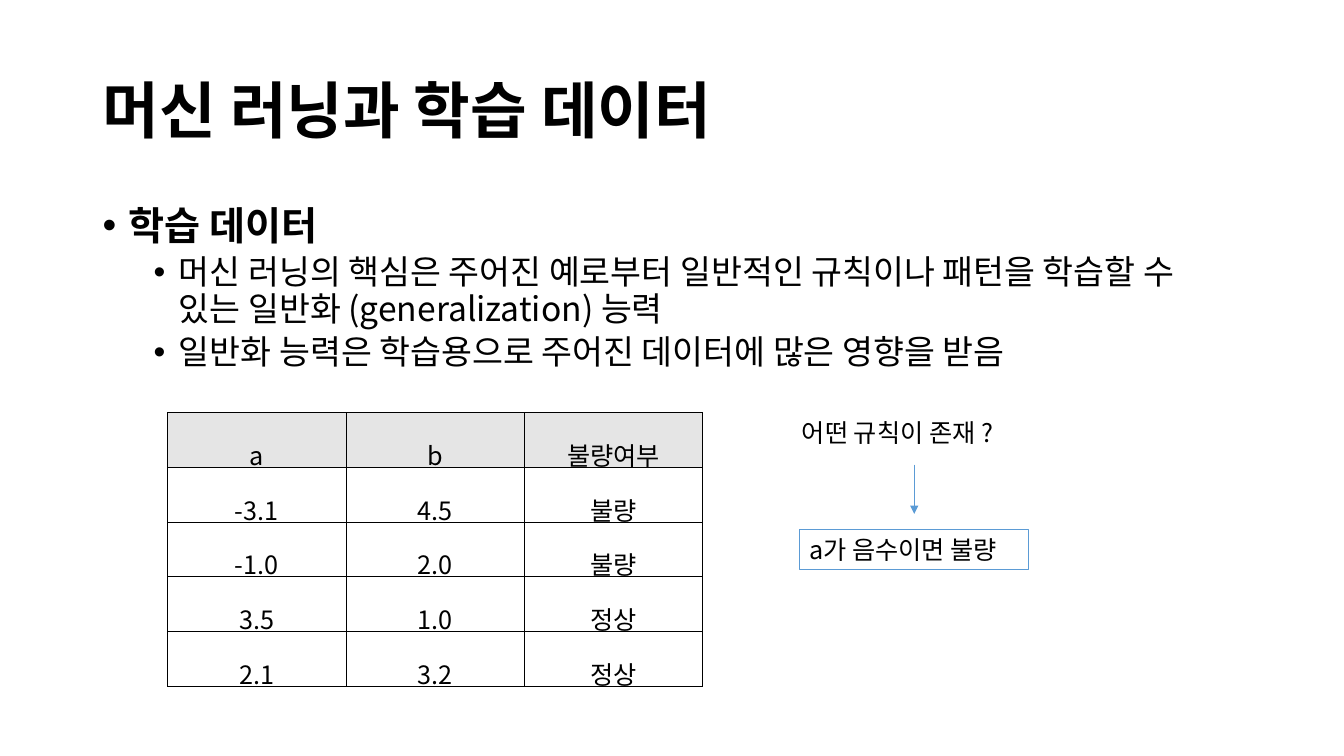
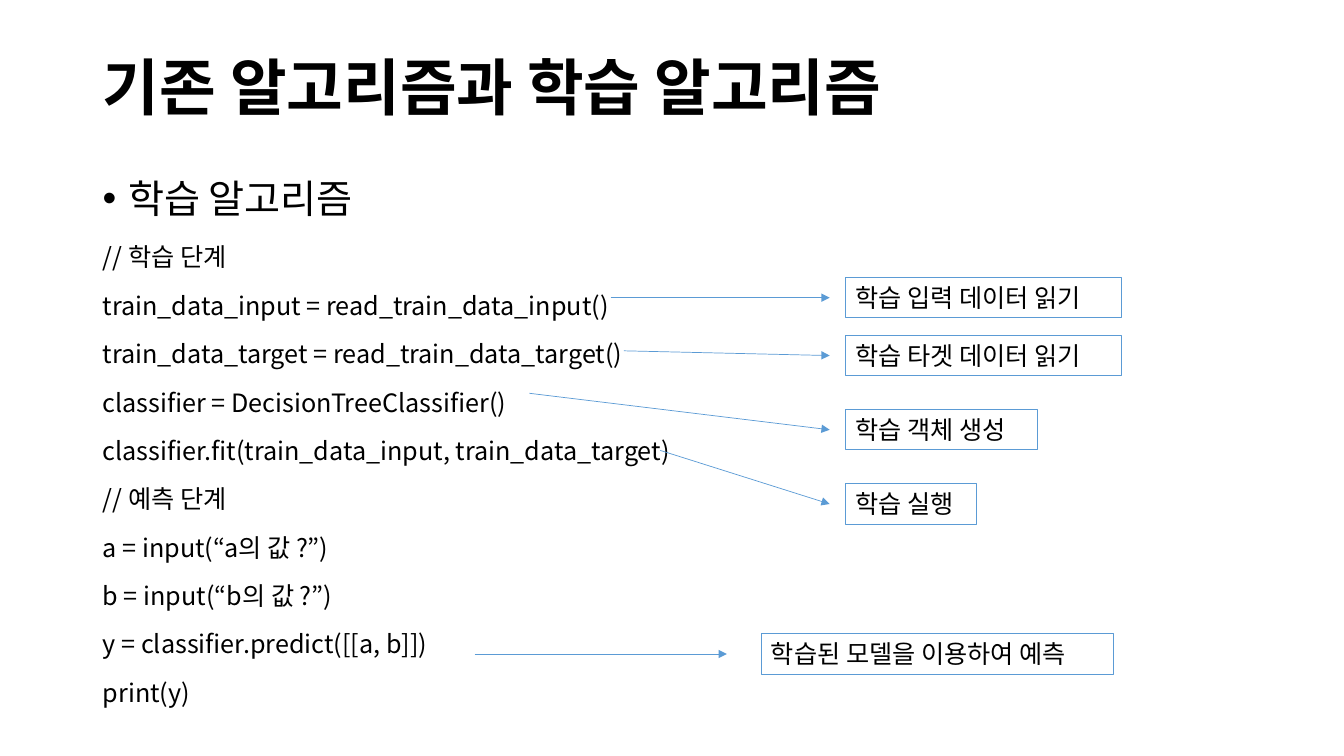
from lxml import etree
from pptx import Presentation
from pptx.dml.color import RGBColor
from pptx.enum import shapes, text
from pptx.oxml import ns
from pptx.util import Cm, Pt

FONT = "Noto Sans CJK KR"
HUES = {"ink": "000000", "head": "E5E5E5", "blue": "5B9BD5"}
LEFT, WIDE = 2.34, 29.21
BOX_H = 1.02
BULLET = 0.64


def hue(name):
    return RGBColor.from_string(HUES[name])


def sub(node, tag, **attrs):
    return etree.SubElement(node, ns.qn(tag), attrs)


def put(frame, lines, size=18, bold=False, align=None, gap=None, above=0,
        anchor=None, level=None):
    """Fill a text frame with lines; a level gives them bullets."""
    frame.word_wrap = True
    if anchor is not None:
        frame.vertical_anchor = anchor
    for i, line in enumerate(lines):
        para = frame.paragraphs[0]
        if i or para.runs:
            para = frame.add_paragraph()
        para.alignment, para.line_spacing = align, gap
        para.space_before = Pt(above)
        run = para.add_run()
        run.text = line
        font = run.font
        font.name, font.size, font.bold = FONT, Pt(size), bold
        font.color.rgb = hue("ink")
        sub(font._element, "a:ea", typeface=FONT)
        if level is not None:
            props = para._p.get_or_add_pPr()
            props.set("marL", str(Cm(BULLET * (1 + 2 * level))))
            props.set("indent", str(Cm(-BULLET)))
            sub(props, "a:buFont", typeface="Arial")
            sub(props, "a:buChar", char="•")


def area(slide, x, y, w, h):
    return slide.shapes.add_textbox(Cm(x), Cm(y), Cm(w), Cm(h)).text_frame


def title(slide, line, y):
    put(area(slide, LEFT, y, WIDE, 3.68), [line], size=44, bold=True,
        gap=0.9, anchor=text.MSO_ANCHOR.MIDDLE)


def topic(slide, line, y, h, bold=False, points=()):
    frame = area(slide, LEFT, y, WIDE, h)
    put(frame, [line], size=28, bold=bold, gap=0.9, above=10, level=0)
    put(frame, points, size=24, gap=0.9, above=5, level=1)


def label(slide, line, x, y, w):
    box = slide.shapes.add_shape(shapes.MSO_SHAPE.RECTANGLE,
                                 Cm(x), Cm(y), Cm(w), Cm(BOX_H))
    box.shadow.inherit = False
    box.fill.background()
    box.line.color.rgb, box.line.width = hue("blue"), Pt(0.75)
    put(box.text_frame, [line], align=text.PP_ALIGN.LEFT,
        anchor=text.MSO_ANCHOR.TOP)


def arrow(slide, x1, y1, x2, y2):
    link = slide.shapes.add_connector(shapes.MSO_CONNECTOR.STRAIGHT,
                                      Cm(x1), Cm(y1), Cm(x2), Cm(y2))
    link.line.color.rgb, link.line.width = hue("blue"), Pt(0.5)
    sub(link.line._get_or_add_ln(), "a:tailEnd", type="triangle")
    sub(link._element.spPr, "a:effectLst")


def edge(cell):
    """Draw thin lines on all four sides, ahead of the cell's fill."""
    props = cell._tc.get_or_add_tcPr()
    for i, side in enumerate("LRTB"):
        line = etree.Element(ns.qn("a:ln" + side), w=str(Pt(0.28)))
        sub(sub(line, "a:solidFill"), "a:srgbClr", val=HUES["ink"])
        props.insert(i, line)


def table(slide, rows, x, y, w, h):
    shape = slide.shapes.add_table(len(rows), len(rows[0]),
                                   Cm(x), Cm(y), Cm(w), Cm(h))
    grid = shape.table
    grid.first_row = grid.horz_banding = False
    for r, row in enumerate(rows):
        for c, value in enumerate(row):
            cell = grid.cell(r, c)
            cell.margin_left = cell.margin_right = Cm(0.18)
            cell.margin_top = cell.margin_bottom = Cm(0.05)
            cell.vertical_anchor = text.MSO_ANCHOR.MIDDLE
            if r == 0:
                cell.fill.solid()
                cell.fill.fore_color.rgb = hue("head")
            else:
                cell.fill.background()
            edge(cell)
            put(cell.text_frame, [value], gap=1.6,
                align=text.PP_ALIGN.CENTER)


def data(slide):
    title(slide, "머신 러닝과 학습 데이터", 1.02)
    topic(slide, "학습 데이터", 5.08, 4.95, bold=True, points=[
        "머신 러닝의 핵심은 주어진 예로부터 일반적인 규칙이나 패턴을 "
        "학습할 수 있는 일반화 (generalization) 능력",
        "일반화 능력은 학습용으로 주어진 데이터에 많은 영향을 받음"])
    table(slide, [("a", "b", "불량여부"),
                  ("-3.1", "4.5", "불량"),
                  ("-1.0", "2.0", "불량"),
                  ("3.5", "1.0", "정상"),
                  ("2.1", "3.2", "정상")], 4.22, 10.39, 13.49, 6.9)
    put(area(slide, 19.96, 10.39, 5.97, BOX_H), ["어떤 규칙이 존재 ?"])
    label(slide, "a가 음수이면 불량", 20.14, 13.34, 5.79)
    arrow(slide, 23.04, 11.71, 23.04, 12.95)


def code(slide):
    title(slide, "기존 알고리즘과 학습 알고리즘", 0.43)
    topic(slide, "학습 알고리즘", 4.39, 1.45)
    put(area(slide, LEFT, 5.51, 16.59, 12.57), [
        "// 학습 단계",
        "train_data_input = read_train_data_input()",
        "train_data_target = read_train_data_target()",
        "classifier = DecisionTreeClassifier()",
        "classifier.fit(train_data_input, train_data_target)",
        "// 예측 단계",
        "a = input(“a의 값 ?”)",
        "b = input(“b의 값 ?”)",
        "y = classifier.predict([[a, b]])",
        "print(y)"], gap=1.6, align=text.PP_ALIGN.JUSTIFY)
    # label, its left, top and width, arrow start, gap before the label
    notes = [
        ("학습 입력 데이터 읽기", 21.31, 6.99, 6.96, 15.39, 7.5, 0.4),
        ("학습 타겟 데이터 읽기", 21.31, 8.45, 6.96, 15.72, 8.84, 0.4),
        ("학습 객체 생성", 21.31, 10.32, 4.83, 13.34, 9.91, 0.4),
        ("학습 실행", 21.31, 12.19, 3.3, 16.64, 11.35, 0.4),
        ("학습된 모델을 이용하여 예측", 19.18, 15.97, 8.89, 11.96, 16.48, 0.86)]
    for line, x, y, w, x1, y1, gap in notes:
        label(slide, line, x, y, w)
        arrow(slide, x1, y1, x - gap, y + BOX_H / 2)


def main():
    deck = Presentation()
    deck.slide_width, deck.slide_height = Cm(33.87), Cm(19.05)
    for build in (data, code):
        build(deck.slides.add_slide(deck.slide_layouts[6]))
    deck.save("out.pptx")


if __name__ == "__main__":
    main()
